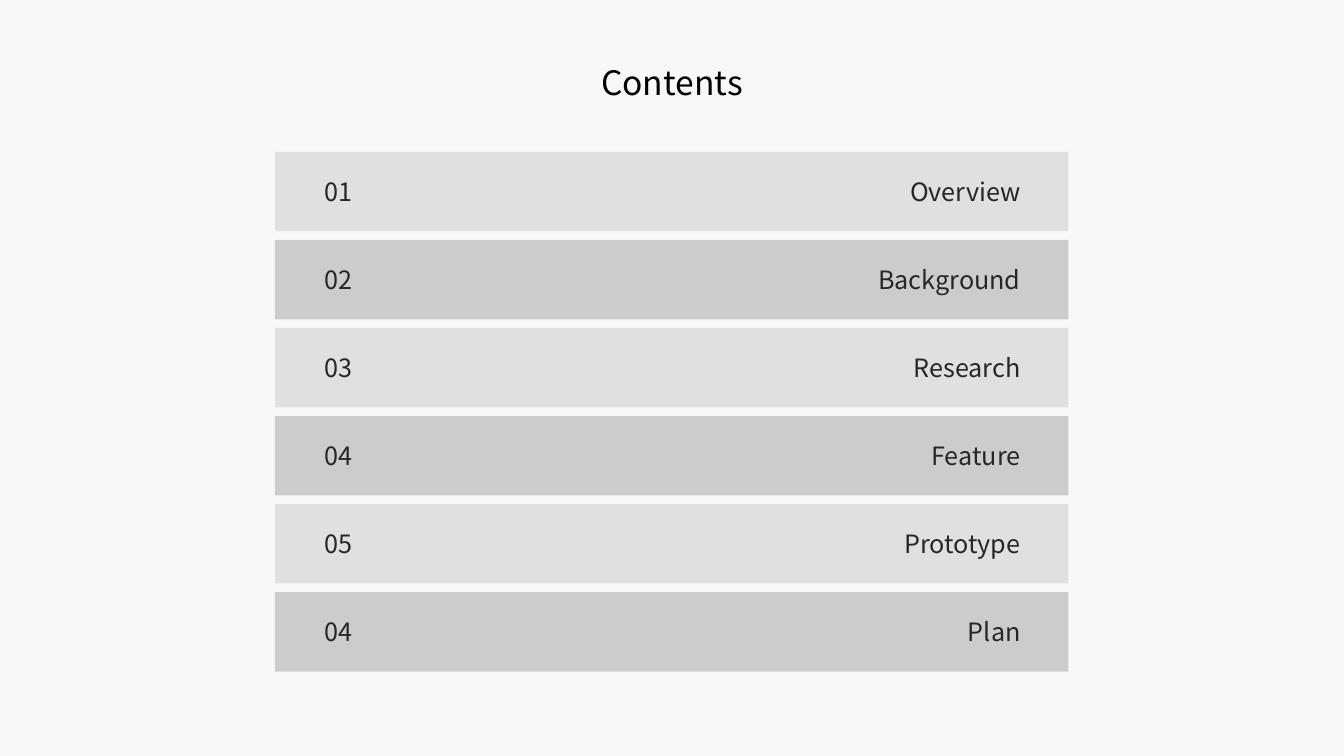
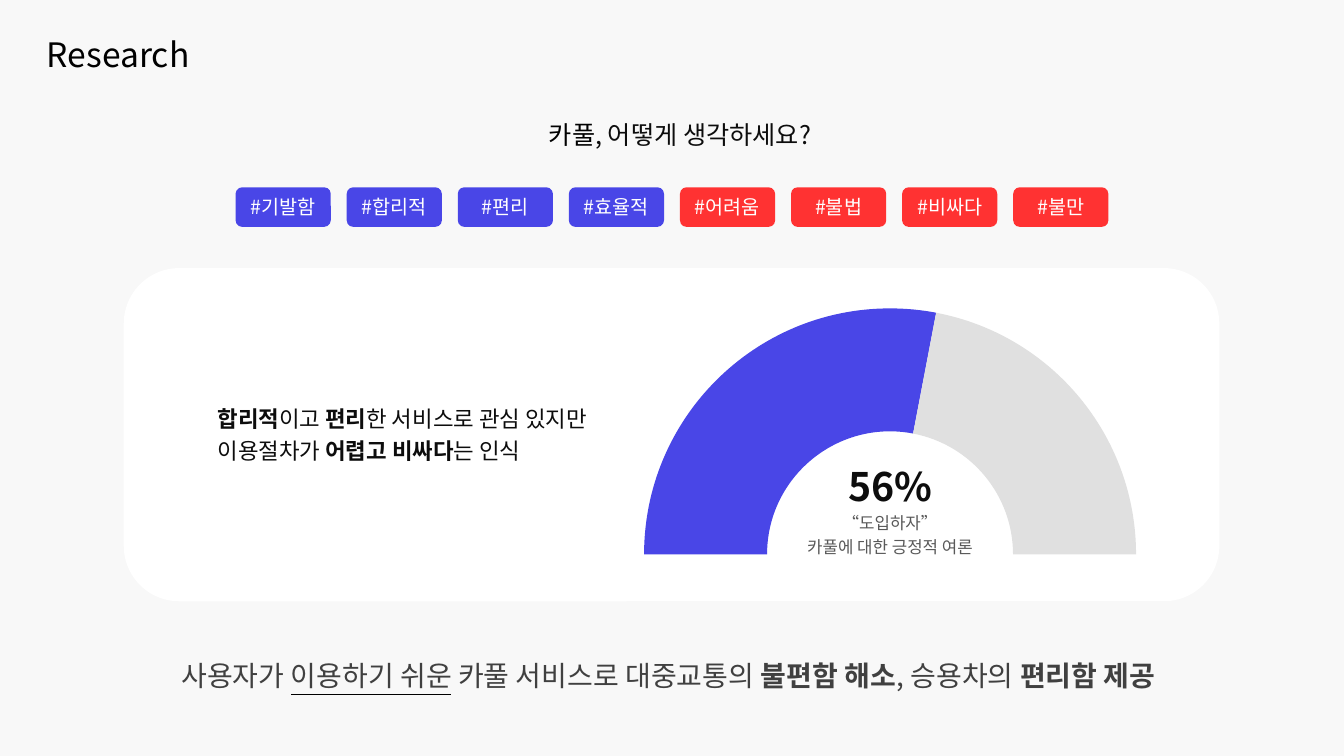
from math import cos, pi, sin, tan

from lxml import etree
from pptx import Presentation
from pptx.dml.color import RGBColor
from pptx.enum.shapes import MSO_CONNECTOR, MSO_SHAPE
from pptx.enum.text import MSO_ANCHOR, MSO_AUTO_SIZE, PP_ALIGN
from pptx.oxml.ns import qn
from pptx.util import Pt

RECT, ROUNDED = MSO_SHAPE.RECTANGLE, MSO_SHAPE.ROUNDED_RECTANGLE
STRAIGHT = MSO_CONNECTOR.STRAIGHT
LEFT, CENTER, RIGHT = PP_ALIGN.LEFT, PP_ALIGN.CENTER, PP_ALIGN.RIGHT
TOP, MIDDLE = MSO_ANCHOR.TOP, MSO_ANCHOR.MIDDLE
NO_AUTOSIZE = MSO_AUTO_SIZE.NONE

FONT = "Noto Sans CJK KR"
BACKGROUND = RGBColor(0xF8, 0xF8, 0xF8)
BLACK = RGBColor(0x00, 0x00, 0x00)
WHITE = RGBColor(0xFF, 0xFF, 0xFF)
INK = RGBColor(0x0D, 0x0D, 0x0D)
CHARCOAL = RGBColor(0x26, 0x26, 0x26)
DARK_GREY = RGBColor(0x40, 0x40, 0x40)
MID_GREY = RGBColor(0x59, 0x59, 0x59)
LIGHT_GREY = RGBColor(0xE0, 0xE0, 0xE0)
BAR_GREY = RGBColor(0xCC, 0xCC, 0xCC)
BLUE = RGBColor(0x49, 0x46, 0xE7)
RED = RGBColor(0xFF, 0x32, 0x32)

SLIDE_W, SLIDE_H = 960, 540

CHAPTERS = [
    ("01", "Overview"),
    ("02", "Background"),
    ("03", "Research"),
    ("04", "Feature"),
    ("05", "Prototype"),
    ("04", "Plan"),
]
POSITIVE_TAGS = ["#기발함", "#합리적", "#편리", "#효율적"]
NEGATIVE_TAGS = ["#어려움", "#불법", "#비싸다", "#불만"]
QUESTION = [[("카풀", False, BLACK), (", 어떻게 생각하세요?", False)]]
FINDING = [
    [("합리적", True), ("이고 ", False), ("편리", True), ("한 서비스로 관심 있지만", False)],
    [("이용절차가 ", False), ("어렵고 비싸다", True), ("는 인식", False)],
]
SHARE = 0.56
SHARE_LABEL = [[(f"{SHARE:.0%}", True)]]
SHARE_CAPTION = [[("“도입하자”", False)], [("카풀에 대한 긍정적 여론", False)]]
CONCLUSION = [[
    ("사용자가 이용하기 쉬운 카풀 서비스로 대중교통의 ", False),
    ("불편함 해소", True),
    (", 승용차의 ", False),
    ("편리함 제공", True),
]]


def points(*lengths):
    return [Pt(length) for length in lengths]


def write(frame, lines, size, color, align=LEFT, anchor=TOP, spacing=1.0):
    frame.word_wrap = True
    frame.auto_size = NO_AUTOSIZE
    frame.vertical_anchor = anchor
    for index, line in enumerate(lines):
        paragraph = frame.add_paragraph() if index else frame.paragraphs[0]
        paragraph.alignment = align
        paragraph.line_spacing = spacing
        for text, bold, *own_color in line:
            run = paragraph.add_run()
            run.text = text
            font = run.font
            font.size, font.bold, font.name = Pt(size), bold, FONT
            font.color.rgb = own_color[0] if own_color else color
            latin = run._r.rPr.find(qn("a:latin"))
            latin.addnext(etree.Element(qn("a:ea"), typeface=FONT))


def paint(shape, color):
    shape.shadow.inherit = False
    shape.fill.solid()
    shape.fill.fore_color.rgb = color
    shape.line.fill.background()
    return shape


def add_block(slide, kind, box, color):
    return paint(slide.shapes.add_shape(kind, *points(*box)), color)


def add_text(slide, box, lines, size, color, **style):
    frame = slide.shapes.add_textbox(*points(*box)).text_frame
    write(frame, lines, size, color, **style)


def add_slide(prs, title, box, align):
    slide = prs.slides.add_slide(prs.slide_layouts[5])
    heading = slide.shapes.title
    heading.left, heading.top, heading.width, heading.height = points(*box)
    write(heading.text_frame, [[(title, False)]], 24, BLACK, align)
    return slide


def arc_controls(center, radius, start, end):
    reach = 4 / 3 * tan((end - start) / 4)
    unit = [
        (cos(start), sin(start)),
        (cos(start) - reach * sin(start), sin(start) + reach * cos(start)),
        (cos(end) + reach * sin(end), sin(end) - reach * cos(end)),
        (cos(end), sin(end)),
    ]
    return [(Pt(center[0] + radius * x), Pt(center[1] + radius * y)) for x, y in unit]


def add_ring_part(slide, center, outer, inner, stops, color):
    angles = [pi * (1 + stop) for stop in stops]
    outline = []
    for start, end in zip(angles, angles[1:]):
        outline += arc_controls(center, outer, start, end)[1 if outline else 0:]
    outer_curves = len(angles) - 1
    outline += arc_controls(center, inner, angles[-1], angles[0])
    builder = slide.shapes.build_freeform(*outline[0], scale=1.0)
    builder.add_line_segments(outline[1:], close=True)
    part = paint(builder.convert_to_shape(), color)

    segments = list(part._element.iter(qn("a:lnTo")))
    inner_first = 3 * outer_curves + 1
    curve_starts = [3 * i for i in range(outer_curves)] + [inner_first]
    for first in curve_starts:
        curve = etree.Element(qn("a:cubicBezTo"))
        segments[first].addprevious(curve)
        for segment in segments[first:first + 3]:
            curve.append(segment[0])
            segment.getparent().remove(segment)


def build_contents(prs):
    slide = add_slide(prs, "Contents", (330, 40.3, 300, 36), CENTER)
    left, width, height, pitch, top = 196.4, 566.8, 56.7, 62.9, 108.5
    for index, (number, chapter) in enumerate(CHAPTERS):
        y = top + index * pitch
        add_block(slide, RECT, (left, y, width, height),
                  BAR_GREY if index % 2 else LIGHT_GREY)
        for text, x, box_width, align in (
            (number, 223.6, 37, CENTER),
            (chapter, 596.1, 140, RIGHT),
        ):
            add_text(slide, (x, y + 13.9, box_width, 28.8), [[(text, False)]],
                     18, CHARCOAL, align=align)


def build_research(prs):
    slide = add_slide(prs, "Research", (26.3, 20.3, 300, 36), LEFT)
    add_block(slide, ROUNDED, (88.4, 191.5, 782.6, 238), WHITE)

    tags = [(tag, BLUE) for tag in POSITIVE_TAGS] + [(tag, RED) for tag in NEGATIVE_TAGS]
    width, pitch = 68, 79.35
    left = (SLIDE_W - pitch * (len(tags) - 1) - width) / 2
    for index, (tag, color) in enumerate(tags):
        shape = add_block(slide, ROUNDED, (left + index * pitch, 133.8, width, 28.3), color)
        frame = shape.text_frame
        frame.margin_left = frame.margin_right = 0
        write(frame, [[(tag, False)]], 14, WHITE, CENTER, MIDDLE)

    add_text(slide, (365.7, 77.5, 240, 32), QUESTION, 18, INK, align=CENTER, spacing=1.2)

    center, outer = (635.8, 396), 175.7
    for stops, color in (((0, 0.5, SHARE), BLUE), ((SHARE, 1), LIGHT_GREY)):
        add_ring_part(slide, center, outer, outer / 2, stops, color)
    for lines, size, color, top, box_width, height in (
        (SHARE_LABEL, 28, INK, 319.7, 110, 45),
        (SHARE_CAPTION, 12, MID_GREY, 360, 150, 41),
    ):
        add_text(slide, (center[0] - box_width / 2, top, box_width, height),
                 lines, size, color, align=CENTER, spacing=1.2)

    add_text(slide, (148.3, 282.2, 312, 52), FINDING, 16, INK, spacing=1.2)
    add_text(slide, (122.4, 462, 715, 64), CONCLUSION, 20, DARK_GREY, spacing=1.2)
    underline = slide.shapes.add_connector(STRAIGHT, *points(208, 496, 321.8, 496))
    underline.line.color.rgb = BLACK
    underline.line.width = Pt(1)
    etree.SubElement(underline._element.spPr, qn("a:effectLst"))


def main():
    prs = Presentation()
    prs.slide_width, prs.slide_height = points(SLIDE_W, SLIDE_H)
    backdrop = prs.slide_master.background.fill
    backdrop.solid()
    backdrop.fore_color.rgb = BACKGROUND
    build_contents(prs)
    build_research(prs)
    prs.save("out.pptx")


if __name__ == "__main__":
    main()
